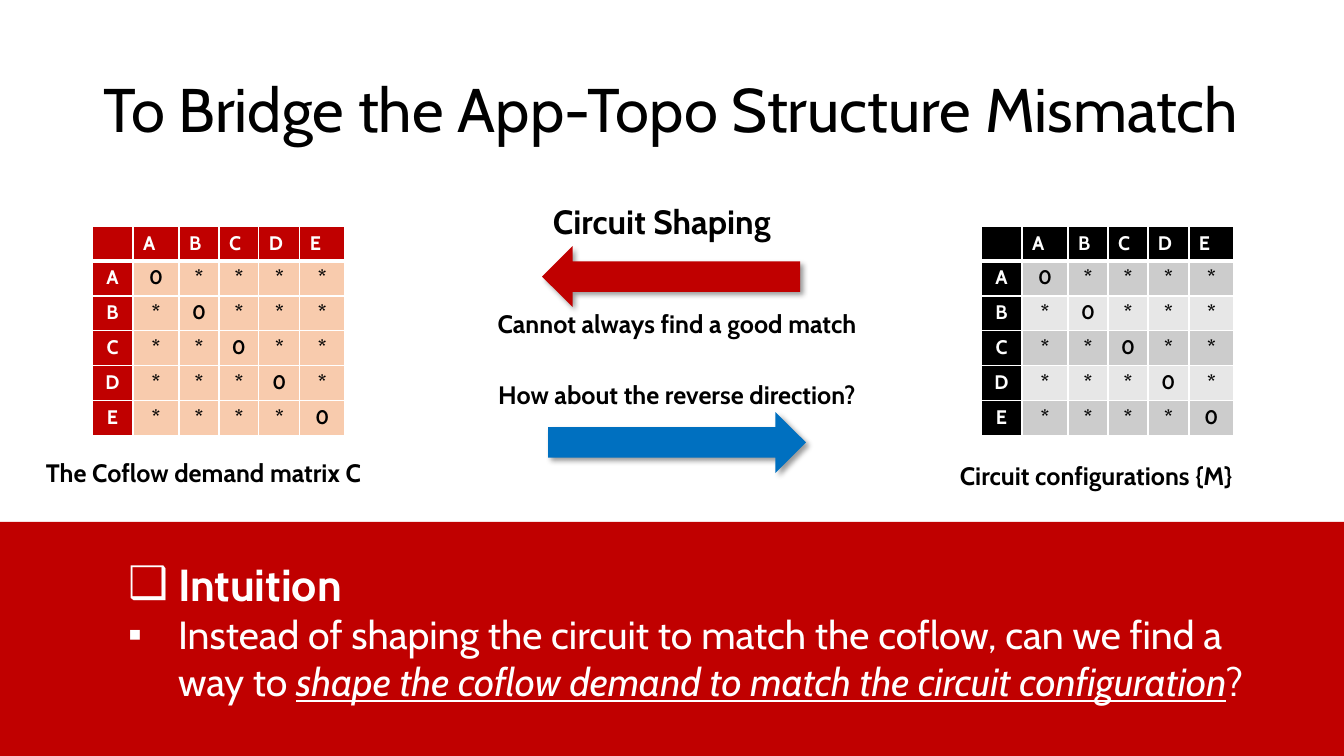
from dataclasses import dataclass

from lxml.etree import SubElement
from pptx import Presentation
from pptx.dml.color import RGBColor
from pptx.enum.shapes import MSO_SHAPE as Preset
from pptx.enum.text import MSO_ANCHOR as Anchor, MSO_AUTO_SIZE as AutoSize, PP_ALIGN as Align
from pptx.oxml import parse_xml
from pptx.oxml.ns import nsdecls, qn
from pptx.util import Emu, Pt

EMU_PER_PIXEL = 914400 / 100.8
FONT = "Cabin"
BLACK = RGBColor(0x00, 0x00, 0x00)
WHITE = RGBColor(0xFF, 0xFF, 0xFF)
RED = RGBColor(0xC0, 0x00, 0x00)
BLUE = RGBColor(0x00, 0x70, 0xC0)
PEACH = RGBColor(0xF8, 0xCB, 0xAD)
GRAY = RGBColor(0xCC, 0xCC, 0xCC)
PALE_GRAY = RGBColor(0xE7, 0xE7, 0xE7)

NODES = "ABCDE"
COLUMN_WIDTHS = (41, 46, 40, 40, 41, 45)
ROW_HEIGHT = 35
CELL_SIZE = 14


@dataclass(frozen=True)
class Matrix:
    """A demand or circuit matrix: its place, header fill and row fills."""
    left: int
    top: int
    header: RGBColor
    bands: tuple[RGBColor, RGBColor]


@dataclass(frozen=True)
class Label:
    """A line of bold text beside the matrices and arrows."""
    text: str
    left: int
    top: int
    width: int
    height: int = 40
    size: int = 18
    align: Align = Align.LEFT


@dataclass(frozen=True)
class Arrow:
    """A block arrow, pointing right before rotation."""
    left: int
    top: int
    fill: RGBColor
    rotation: int = 0


MATRICES = (
    Matrix(981, 226, BLACK, (GRAY, PALE_GRAY)),
    Matrix(92, 226, RED, (PEACH, PEACH)),
)
ARROWS = (Arrow(548, 412, BLUE), Arrow(542, 246, RED, rotation=180))
LABELS = (
    Label("The Coflow demand matrix C", 36, 452, 581),
    Label("Circuit configurations {M}", 950, 455, 380),
    Label("Cannot always find a good match", 437, 303, 480, align=Align.CENTER),
    Label("How about the reverse direction?", 437, 374, 480, align=Align.CENTER),
    Label("Circuit Shaping", 543, 196, 273, height=50, size=24),
)


def px(pixels: int) -> Emu:
    """Turn pixels into EMU."""
    return Emu(round(pixels * EMU_PER_PIXEL))


def place(shape, left: int, top: int, width: int, height: int) -> None:
    """Move and size a shape."""
    shape.left, shape.top = px(left), px(top)
    shape.width, shape.height = px(width), px(height)


def write(para, text: str, *, size: int, color: RGBColor = BLACK, bold: bool = False,
          italic: bool = False, underline: bool = False, align: Align = Align.LEFT) -> None:
    """Add a formatted span to a paragraph."""
    para.alignment = align
    span = para.add_run()
    span.text = text
    font = span.font
    font.name, font.size, font.color.rgb = FONT, Pt(size), color
    font.bold, font.italic, font.underline = bold, italic, underline


def paint(shape, color: RGBColor) -> None:
    """Give a shape a plain fill with no line or shadow."""
    shape.fill.solid()
    shape.fill.fore_color.rgb = color
    shape.line.fill.background()
    shape.shadow.inherit = False


def add_label(page, label: Label) -> None:
    """Add a text label."""
    box = page.shapes.add_textbox(
        px(label.left), px(label.top), px(label.width), px(label.height))
    box.text_frame.word_wrap = True
    write(box.text_frame.paragraphs[0], label.text, size=label.size, bold=True,
          align=label.align)


def add_arrow(page, arrow: Arrow) -> None:
    """Add a block arrow with a soft shadow."""
    shape = page.shapes.add_shape(
        Preset.RIGHT_ARROW, px(arrow.left), px(arrow.top), px(258), px(61))
    shape.rotation = arrow.rotation
    paint(shape, arrow.fill)
    effects = shape.element.spPr.find(qn("a:effectLst"))
    effects.append(parse_xml(
        f'<a:outerShdw {nsdecls("a")} blurRad="{Pt(4)}" dist="{Pt(3)}" dir="2700000" '
        'algn="tl" rotWithShape="0"><a:srgbClr val="000000"><a:alpha val="40000"/>'
        '</a:srgbClr></a:outerShdw>'))


def set_borders(cell, top: int, bottom: int) -> None:
    """Draw white cell borders, one point wide at the sides."""
    properties = cell._tc.get_or_add_tcPr()
    for index, (side, width) in enumerate(zip("LRTB", (1, 1, top, bottom))):
        properties.insert(index, parse_xml(
            f'<a:ln{side} {nsdecls("a")} w="{Pt(width)}"><a:solidFill>'
            f'<a:srgbClr val="{WHITE}"/></a:solidFill></a:ln{side}>'))


def add_matrix(page, matrix: Matrix) -> None:
    """Add a matrix with zeros on its diagonal and stars elsewhere."""
    count = len(NODES) + 1
    table = page.shapes.add_table(
        count, count, px(matrix.left), px(matrix.top),
        px(sum(COLUMN_WIDTHS)), px(ROW_HEIGHT * count)).table
    table.first_row = table.horz_banding = False
    for column, width in zip(table.columns, COLUMN_WIDTHS):
        column.width = px(width)
    for i, row in enumerate(table.rows):
        row.height = px(ROW_HEIGHT)
        for j, cell in enumerate(row.cells):
            header = i == 0 or j == 0
            cell.fill.solid()
            cell.fill.fore_color.rgb = matrix.header if header else matrix.bands[(i - 1) % 2]
            set_borders(cell, top=3 if i == 1 else 1, bottom=3 if i == 0 else 1)
            para = cell.text_frame.paragraphs[0]
            if i == j == 0:
                SubElement(para._p, qn("a:endParaRPr"), sz=str(CELL_SIZE * 100))
                continue
            text = NODES[max(i, j) - 1] if header else "0" if i == j else "*"
            write(para, text, size=CELL_SIZE, color=WHITE if header else BLACK, bold=True,
                  align=Align.CENTER if i else Align.LEFT)


def set_bullet(para, mark: str) -> None:
    """Give a paragraph a hanging bullet and no space before it."""
    para.space_before = Pt(0)
    properties = para._p.get_or_add_pPr()
    properties.set("marL", str(px(50)))
    properties.set("indent", str(-px(50)))
    SubElement(properties, qn("a:buFont"), typeface="Arial")
    SubElement(properties, qn("a:buChar"), char=mark)


def fill_title(title) -> None:
    """Write the slide title."""
    place(title, 93, 40, 1159, 146)
    frame = title.text_frame
    frame.vertical_anchor, frame.auto_size = Anchor.MIDDLE, AutoSize.NONE
    para = frame.paragraphs[0]
    para.line_spacing = 0.9
    write(para, "To Bridge the App-Topo Structure Mismatch", size=44)


def fill_intuition(body) -> None:
    """Write the intuition list and bring it in front of its band."""
    place(body, 118, 526, 1150, 209)
    body.element.getparent().append(body.element)
    frame = body.text_frame
    frame.vertical_anchor, frame.auto_size = Anchor.MIDDLE, AutoSize.NONE
    heading, question = frame.paragraphs[0], frame.add_paragraph()
    set_bullet(heading, "❑")
    write(heading, "Intuition", size=32, color=WHITE, bold=True)
    set_bullet(question, "▪")
    write(question, "Instead of shaping the circuit to match the coflow, can we find a way to ",
          size=28, color=WHITE)
    write(question, "shape the coflow demand to match the circuit configuration",
          size=28, color=WHITE, italic=True, underline=True)
    write(question, "?", size=28, color=WHITE)


def main() -> None:
    """Build and save the deck."""
    deck = Presentation()
    deck.slide_width, deck.slide_height = px(1344), px(756)
    page = deck.slides.add_slide(deck.slide_layouts[1])
    band = page.shapes.add_shape(Preset.RECTANGLE, 0, px(522), px(1344), px(234))
    paint(band, RED)
    for matrix in MATRICES:
        add_matrix(page, matrix)
    for arrow in ARROWS:
        add_arrow(page, arrow)
    for label in LABELS:
        add_label(page, label)
    fill_title(page.shapes.title)
    fill_intuition(page.placeholders[1])
    deck.save("out.pptx")


main()
